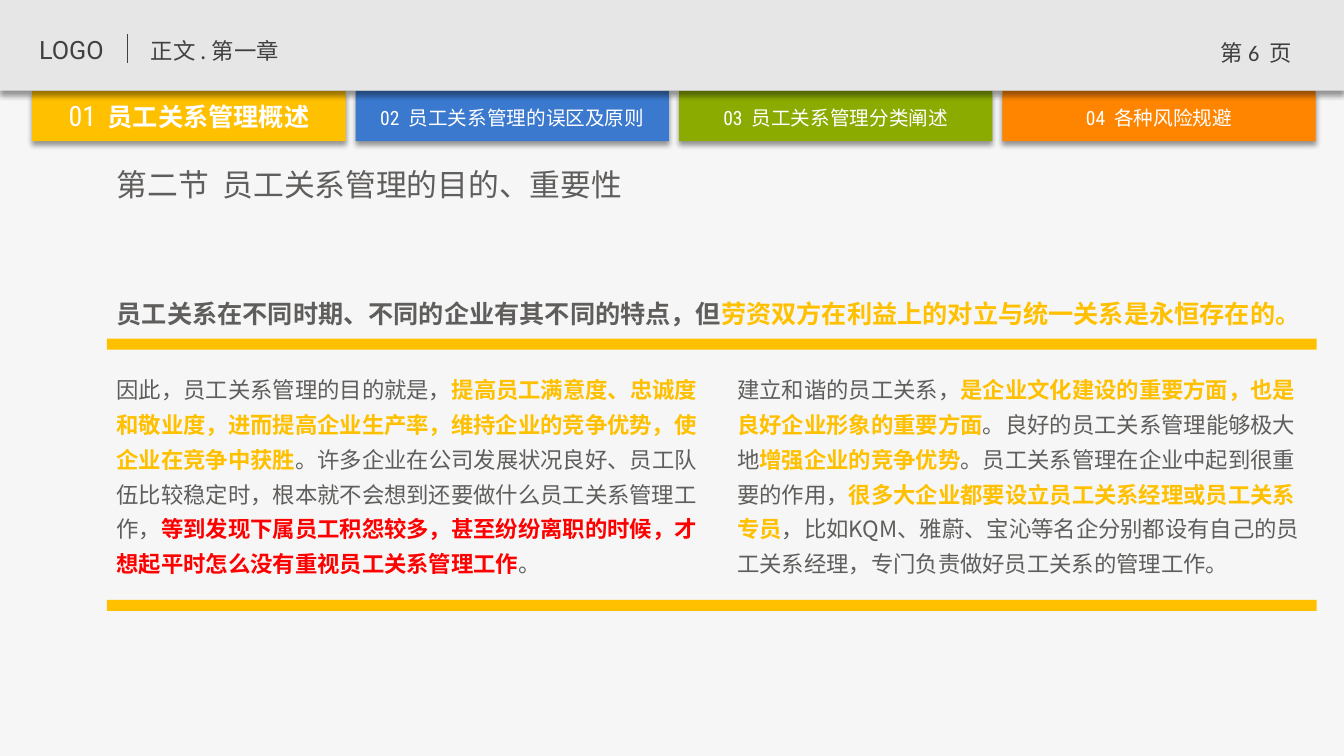
from dataclasses import dataclass

from lxml.etree import SubElement
from pptx import Presentation
from pptx.dml.color import RGBColor
from pptx.enum.shapes import MSO_CONNECTOR, MSO_SHAPE
from pptx.enum.text import MSO_ANCHOR, MSO_AUTO_SIZE, PP_ALIGN
from pptx.oxml.ns import qn
from pptx.util import Pt

EMU_PER_PX = 9144


@dataclass(frozen=True)
class Theme:
    """Colours, fonts and type sizes of the deck."""
    page: str = "F6F6F6"
    header: str = "E6E6E6"
    dark: str = "404040"
    body: str = "5F5E5C"
    white: str = "FFFFFF"
    gold: str = "FFC000"
    red: str = "FF0000"
    shadow: str = "000000"
    tabs: tuple = ("FFC000", "3B79CE", "8BAB00", "FF8500")
    cjk: str = "Noto Sans CJK SC"
    logo_font: str = "Roboto"
    tab_font: str = "Roboto Condensed"
    page_font: str = "Calibri"
    title_size: int = 22
    number_size: int = 20
    lead_size: int = 18
    text_size: int = 16
    tab_size: int = 14


T = Theme()
TABS = ["员工关系管理概述", "员工关系管理的误区及原则", "员工关系管理分类阐述", "各种风险规避"]
PLAIN = {"color": T.body, "bold": False}
GOLD = {"color": T.gold, "bold": True}
RED = {"color": T.red, "bold": True}
LEAD = [
    ("员工关系在不同时期、不同的企业有其不同的特点，但", {"color": T.body, "bold": True}),
    ("劳资双方在利益上的对立与统一关系是永恒存在的。", GOLD),
]
PURPOSE = [
    ("因此，员工关系管理的目的就是，", PLAIN),
    ("提高员工满意度、忠诚度和敬业度，进而提高企业生产率，维持企业的竞争优势，使企业在竞争中获胜", GOLD),
    ("。许多企业在公司发展状况良好、员工队伍比较稳定时，根本就不会想到还要做什么员工关系管理工作，", PLAIN),
    ("等到发现下属员工积怨较多，甚至纷纷离职的时候，才想起平时怎么没有重视员工关系管理工作", RED),
    ("。", PLAIN),
]
IMPORTANCE = [
    ("建立和谐的员工关系，", PLAIN),
    ("是企业文化建设的重要方面，也是良好企业形象的重要方面", GOLD),
    ("。良好的员工关系管理能够极大地", PLAIN),
    ("增强企业的竞争优势", GOLD),
    ("。员工关系管理在企业中起到很重要的作用，", PLAIN),
    ("很多大企业都要设立员工关系经理或员工关系专员", GOLD),
    ("，比如KQM、雅蔚、宝沁等名企分别都设有自己的员工关系经理，专门负责做好员工关系的管理工作。", PLAIN),
]


def px(*values):
    """Turn px lengths into EMU."""
    return [v * EMU_PER_PX for v in values]


def add_rect(s, box, color, shadow=False):
    """Add a plain filled rectangle, with a soft drop shadow if asked."""
    sp = s.shapes.add_shape(MSO_SHAPE.RECTANGLE, *px(*box))
    sp.shadow.inherit = False
    sp.fill.solid()
    sp.fill.fore_color.rgb = RGBColor.from_string(color)
    sp.line.fill.background()
    if shadow:
        effects = sp._element.spPr.find(qn("a:effectLst"))
        outer = SubElement(effects, qn("a:outerShdw"), blurRad=str(Pt(4)), dist=str(Pt(3)),
                           dir="5400000", algn="t", rotWithShape="0")
        clr = SubElement(outer, qn("a:srgbClr"), val=T.shadow)
        SubElement(clr, qn("a:alpha"), val="40000")


def add_text(s, box, runs, base, frame=None, para=None):
    """Add a text box of one paragraph; each run is its text and what differs from base."""
    tf = s.shapes.add_textbox(*px(*box)).text_frame
    for name, value in {"word_wrap": True, **(frame or {})}.items():
        setattr(tf, name, value)
    p = tf.paragraphs[0]
    for name, value in (para or {}).items():
        setattr(p, name, value)
    for text, changes in runs:
        fmt = {"name": T.cjk, "color": T.body, "bold": False, **base, **changes}
        r = p.add_run()
        r.text = text
        r.font.color.rgb = RGBColor.from_string(fmt.pop("color"))
        for name, value in fmt.items():
            setattr(r.font, name, Pt(value) if name == "size" else value)
        SubElement(r.font._element, qn("a:ea"), typeface=fmt["name"])


def add_tabs(s, box):
    """Place the four chapter tabs, the first one being current."""
    x, y, w, h = box
    gap = 10
    tab_w = (w - gap * (len(TABS) - 1)) // len(TABS)
    frame = {"vertical_anchor": MSO_ANCHOR.MIDDLE, "auto_size": MSO_AUTO_SIZE.SHAPE_TO_FIT_TEXT,
             **dict.fromkeys(("margin_left", "margin_top", "margin_right", "margin_bottom"), 0)}
    for i, (title, color) in enumerate(zip(TABS, T.tabs)):
        left, number = x + i * (tab_w + gap), f"{i + 1:02d}"
        add_rect(s, (left, y, tab_w, h), color, shadow=True)
        latin = {"name": T.tab_font}
        if i == 0:
            top, text_h, size = y + 7, 34, T.lead_size
            runs = [(number, {**latin, "size": T.number_size}), ("  ", latin), (title, {"bold": True})]
        else:
            top, text_h, size = y + 15, 24, T.tab_size
            runs = [(number + "  ", latin), (title, {})]
        add_text(s, (left, top, tab_w, text_h), runs, {"color": T.white, "size": size},
                 frame, {"alignment": PP_ALIGN.CENTER})


def add_header(s, box):
    """Place the top band with logo text, chapter name and page number."""
    x, y, w, h = box
    add_rect(s, box, T.header, shadow=True)
    base = {"color": T.dark, "size": T.text_size}
    add_text(s, (x + 29, y + 29, 98, 40), [("LOGO", {"name": T.logo_font, "size": T.lead_size})], base)
    rule = s.shapes.add_connector(MSO_CONNECTOR.STRAIGHT, *px(x + 127, y + 34, x + 127, y + 63))
    rule.line.color.rgb = RGBColor.from_string(T.dark)
    rule.line.width = Pt(0.75)
    SubElement(rule._element.spPr, qn("a:effectLst"))
    add_text(s, (x + 140, y + 32, 327, 37), [("正文 . 第一章", {})], base)
    add_text(s, (x + w - 147, y + 34, 120, 40),
             [("第 ", {}), ("6  ", {"name": T.page_font}), ("页", {})],
             base, para={"alignment": PP_ALIGN.CENTER})


def add_content(s, box):
    """Place the section title, the lead sentence and two columns between bars."""
    x, y, w, h = box
    bar_h, right_col = 11, 616
    spaced = {"line_spacing": 1.3}
    add_text(s, (x, y, 577, 47), [("第二节  员工关系管理的目的、重要性", {})], {"size": T.title_size})
    add_text(s, (x, y + 123, w, 46), LEAD, {"size": T.lead_size},
             para={**spaced, "space_after": Pt(6)})
    for left, col_w, runs in ((0, 601, PURPOSE), (right_col, w - right_col, IMPORTANCE)):
        add_text(s, (x + left, y + 201, col_w, 220), runs, {"size": T.text_size}, para=spaced)
    for top in (177, h - bar_h):
        add_rect(s, (x, y + top, w, bar_h), T.gold)


def main():
    """Build the slide and save it."""
    prs = Presentation()
    prs.slide_width, prs.slide_height = px(1334, 750)
    s = prs.slides.add_slide(prs.slide_layouts[6])
    s.background.fill.solid()
    s.background.fill.fore_color.rgb = RGBColor.from_string(T.page)
    add_tabs(s, (32, 90, 1274, 50))
    add_header(s, (0, 0, 1334, 90))
    add_content(s, (106, 159, 1201, 447))
    prs.save("out.pptx")


if __name__ == "__main__":
    main()
